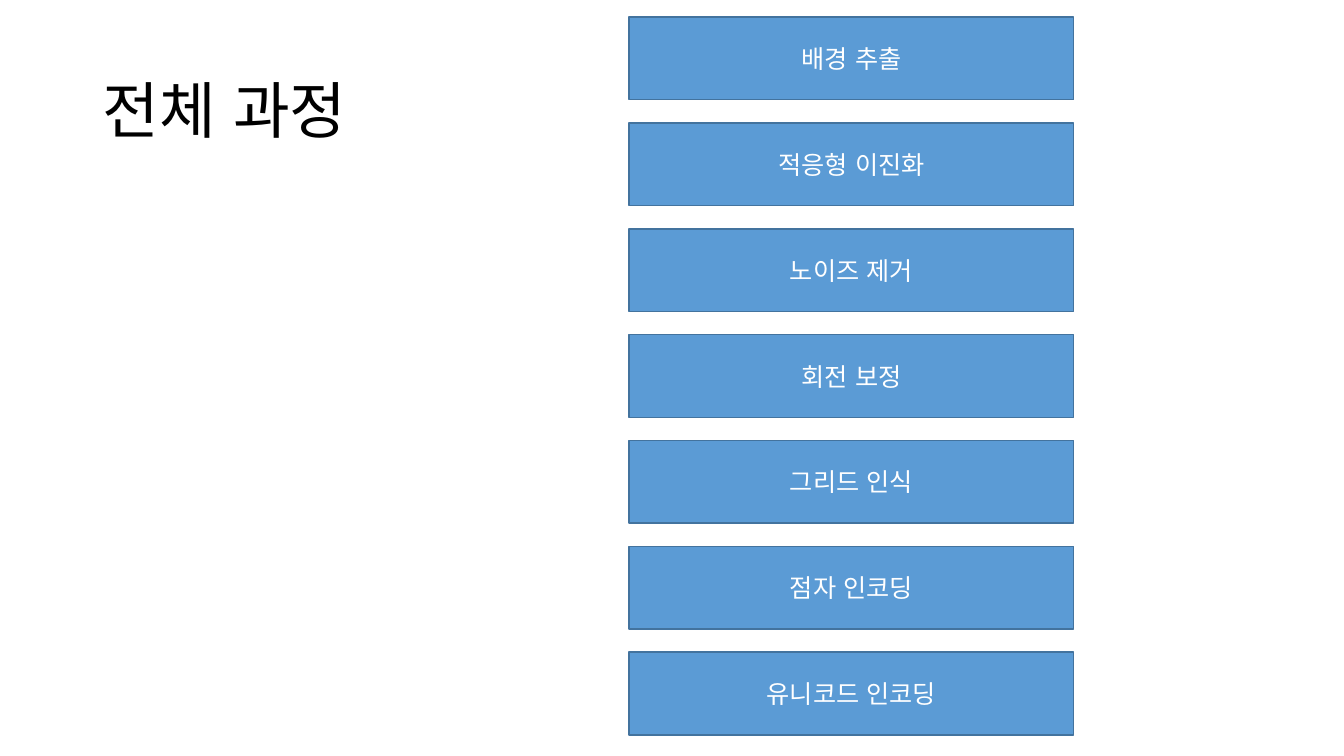
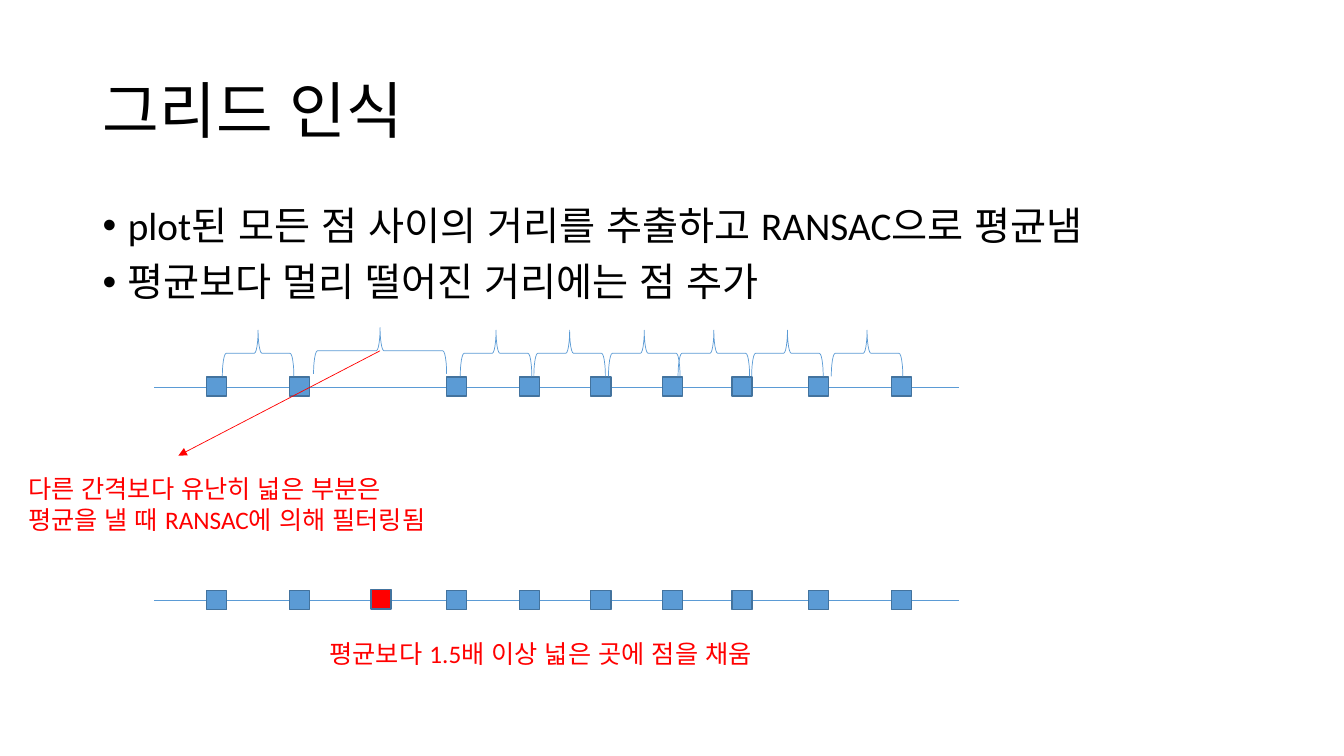
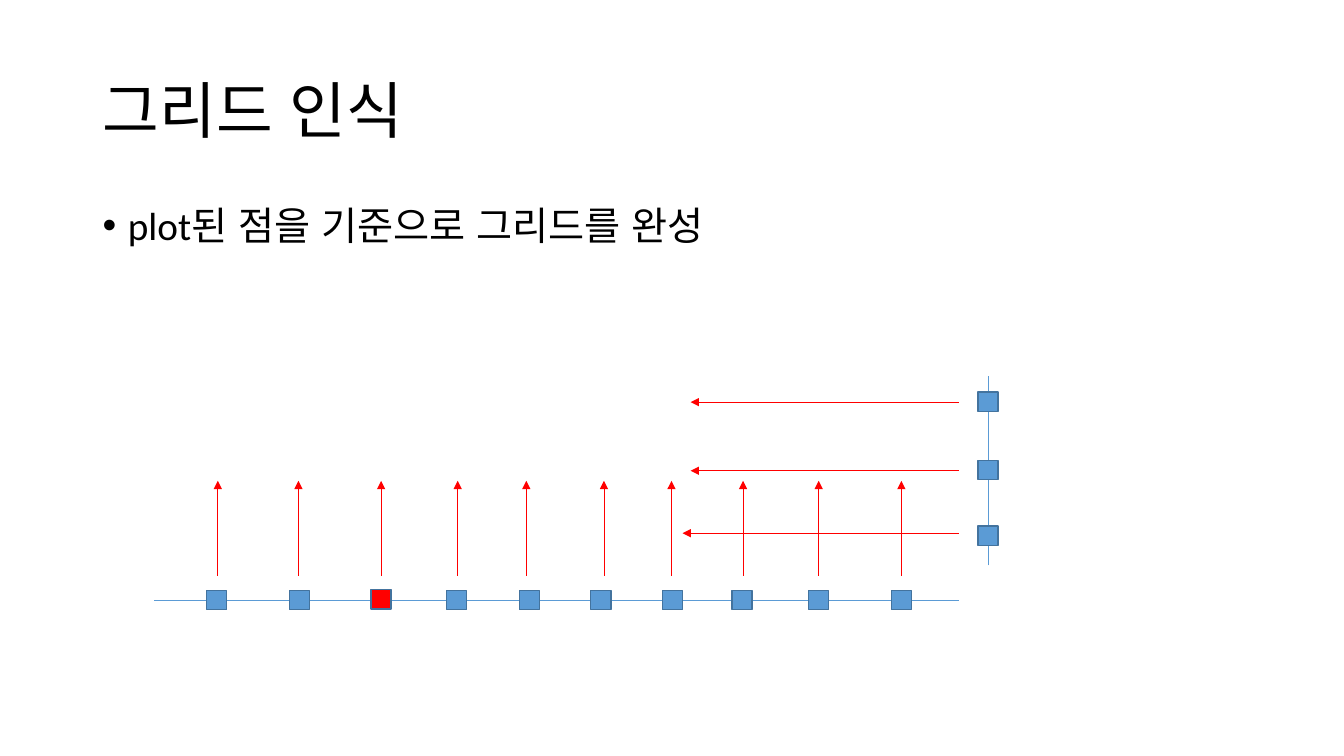
from pptx import Presentation
from pptx.dml.color import RGBColor
from pptx.enum.lang import MSO_LANGUAGE_ID as LANG
from pptx.enum.shapes import MSO_CONNECTOR as CONNECTOR, MSO_SHAPE as SHAPE
from pptx.enum.text import MSO_ANCHOR as ANCHOR, MSO_AUTO_SIZE as AUTO, PP_ALIGN as ALIGN
from pptx.oxml.ns import qn
from pptx.util import Emu, Pt
from lxml.etree import SubElement

PX = 9144  # 100 px to the inch
FONT = "Calibri"
COLORS = {"blue": "5B9BD5", "edge": "43739E", "red": "FF0000",
          "black": "000000", "white": "FFFFFF"}

STEPS = ["배경 추출", "적응형 이진화", "노이즈 제거", "회전 보정",
         "그리드 인식", "점자 인코딩", "유니코드 인코딩"]
DOT_W, DOT_H = 20, 19
DOT_LEFTS = [205, 287, 443, 515, 586, 657, 726, 802, 884]
ADDED_DOT_LEFT = 368
AXIS_LEFT, AXIS_RIGHT = 153, 951
UPPER_AXIS, LOWER_AXIS = 384, 596
BRACE_DEPTH = 46


def px(*values):
    return [Emu(v * PX) for v in values]


def rgb(name):
    return RGBColor.from_string(COLORS[name])


def write(tf, text, size=18, color="black", align=ALIGN.LEFT, spacing=None,
          before=0, bullet=False):
    """Fill a text frame, one paragraph for each line of text."""
    for i, line in enumerate(text.split("\n")):
        p = tf.paragraphs[0] if i == 0 else tf.add_paragraph()
        p.alignment = align
        p.space_before = Pt(before)
        if spacing:
            p.line_spacing = spacing
        if bullet:
            add_bullet(p)
        r = p.add_run()
        r.text = line
        r.font.name, r.font.size = FONT, Pt(size)
        r.font.color.rgb = rgb(color)
        r.font.language_id = LANG.KOREAN


def add_bullet(p):
    pPr = p._p.get_or_add_pPr()
    indent = 25 * PX
    pPr.set("marL", str(indent))
    pPr.set("indent", str(-indent))
    SubElement(pPr, qn("a:buFont")).set("typeface", "Arial")
    SubElement(pPr, qn("a:buChar")).set("char", "•")


def textbox(s, x, y, w, h, text, wrap=True, anchor=ANCHOR.TOP, **fmt):
    tf = s.shapes.add_textbox(*px(x, y, w, h)).text_frame
    tf.auto_size = AUTO.NONE if wrap else AUTO.SHAPE_TO_FIT_TEXT
    tf.word_wrap = wrap
    tf.vertical_anchor = anchor
    write(tf, text, **fmt)


def titled_slide(prs, title):
    s = prs.slides.add_slide(prs.slide_layouts[6])
    textbox(s, 92, 40, 1150, 145, title, anchor=ANCHOR.MIDDLE, size=44, spacing=0.9)
    return s


def bullets(s, h, text):
    textbox(s, 92, 200, 1150, h, text, size=28, spacing=0.9, before=10, bullet=True)


def callout(s, x, y, w, h, text):
    textbox(s, x, y, w, h, text, wrap=False, color="red")


def rect(s, x, y, w, h, fill="blue"):
    sp = s.shapes.add_shape(SHAPE.RECTANGLE, *px(x, y, w, h))
    sp.shadow.inherit = False
    sp.fill.solid()
    sp.fill.fore_color.rgb = rgb(fill)
    sp.line.color.rgb = rgb("edge")
    sp.line.width = Pt(1)
    return sp


def step_box(s, y, text):
    tf = rect(s, 624, y, 441, 82).text_frame
    tf.vertical_anchor = ANCHOR.MIDDLE
    write(tf, text, color="white", align=ALIGN.CENTER)


def dot(s, x, y, fill="blue"):
    rect(s, x, y, DOT_W, DOT_H, fill)


def line(s, x1, y1, x2, y2, color="blue"):
    c = s.shapes.add_connector(CONNECTOR.STRAIGHT, *px(x1, y1, x2, y2))
    c.line.color.rgb = rgb(color)
    c.line.width = Pt(0.5)
    SubElement(c._element.spPr, qn("a:effectLst"))
    return c


def arrow(s, x1, y1, x2, y2):
    ln = line(s, x1, y1, x2, y2, "red").line._get_or_add_ln()
    SubElement(ln, qn("a:tailEnd")).set("type", "triangle")


def brace(s, cx, cy, span):
    """Brace lying on its side, tip up, centred on cx, cy."""
    sp = s.shapes.add_shape(SHAPE.RIGHT_BRACE, *px(
        cx - BRACE_DEPTH // 2, cy - span // 2, BRACE_DEPTH, span))
    sp.rotation = 270
    sp.shadow.inherit = False
    sp.fill.background()
    sp.line.color.rgb = rgb("blue")
    sp.line.width = Pt(0.5)


def dot_row(s, y):
    line(s, AXIS_LEFT, y, AXIS_RIGHT, y)
    for x in DOT_LEFTS:
        dot(s, x, y - 10)


def filled_row(s):
    dot_row(s, LOWER_AXIS)
    dot(s, ADDED_DOT_LEFT, LOWER_AXIS - 11, "red")


def process_slide(prs):
    s = titled_slide(prs, "전체 과정")
    for i, step in enumerate(STEPS):
        step_box(s, 17 + 105 * i, step)


def spacing_slide(prs):
    s = titled_slide(prs, "그리드 인식")
    bullets(s, 476, "plot된 모든 점 사이의 거리를 추출하고 RANSAC으로 평균냄\n"
                    "평균보다 멀리 떨어진 거리에는 점 추가")
    dot_row(s, UPPER_AXIS)
    filled_row(s)
    for cx in (256, 492, 565, 639, 708, 781, 860):
        brace(s, cx, 350, 71)
    brace(s, 377, 348, 132)
    arrow(s, 377, 348, 177, 452)
    callout(s, 18, 465, 436, 71, "다른 간격보다 유난히 넓은 부분은\n"
                                 "평균을 낼 때 RANSAC에 의해 필터링됨")
    callout(s, 317, 628, 465, 40, "평균보다 1.5배 이상 넓은 곳에 점을 채움")


def grid_slide(prs):
    s = titled_slide(prs, "그리드 인식")
    bullets(s, 238, "plot된 점을 기준으로 그리드를 완성")
    filled_row(s)
    line(s, 980, 561, 980, 373)
    for y in (389, 457, 522):
        dot(s, 970, y)
    for x in (216, 296, 378, 454, 522, 599, 666, 737, 812, 894):
        arrow(s, x, 571, x, 477)
    for y, tip in ((399, 685), (467, 685), (529, 677)):
        arrow(s, AXIS_RIGHT, y, tip, y)


def main():
    prs = Presentation()
    prs.slide_width, prs.slide_height = px(1333, 750)
    process_slide(prs)
    spacing_slide(prs)
    grid_slide(prs)
    prs.save("out.pptx")


if __name__ == "__main__":
    main()
